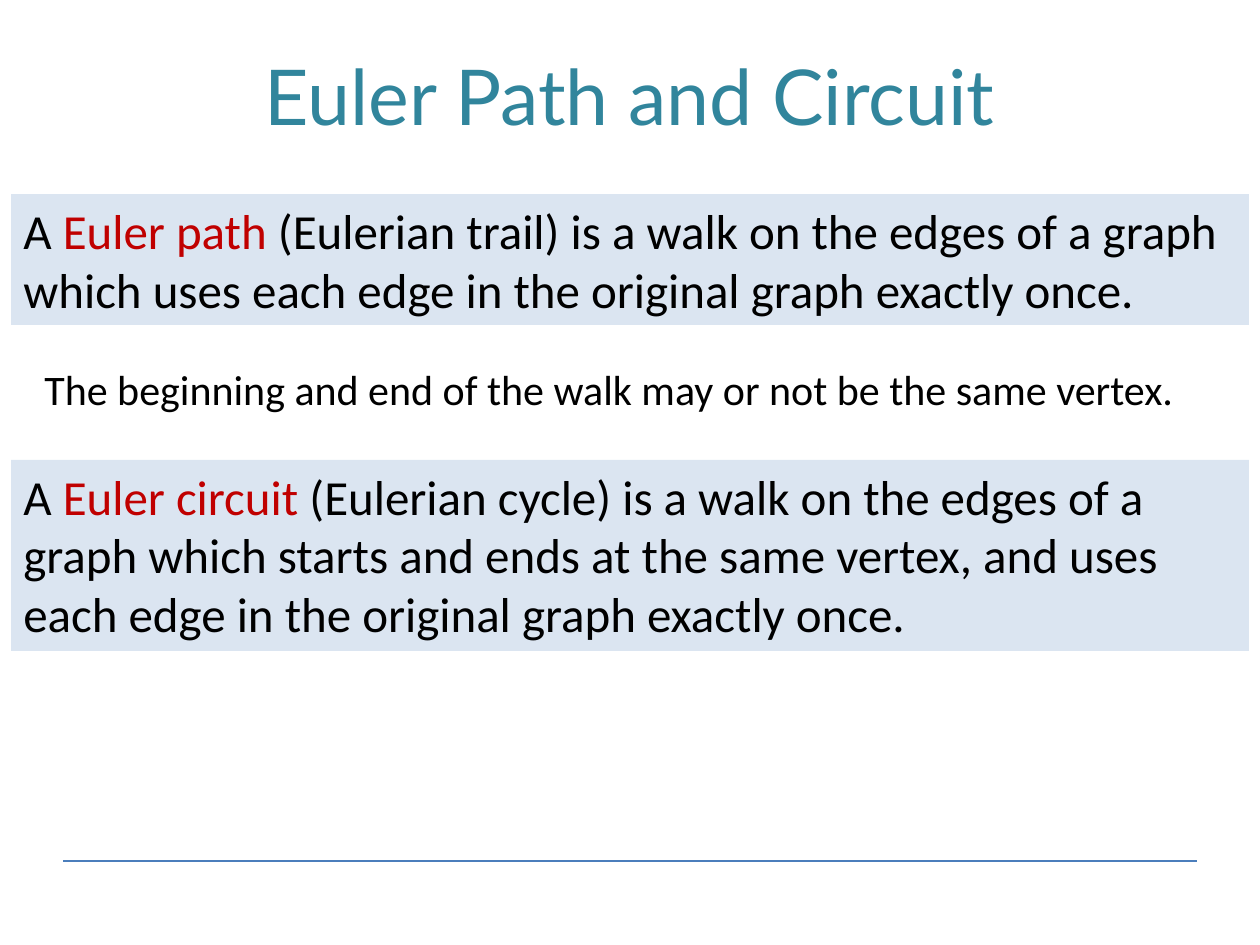
from lxml import etree
from pptx import Presentation
from pptx.dml.color import RGBColor
from pptx.enum.shapes import MSO_CONNECTOR as Connector, MSO_SHAPE as Shape
from pptx.enum.text import MSO_ANCHOR as Anchor, PP_ALIGN as Align
from pptx.oxml.ns import qn
from pptx.util import Emu, Pt

PX = 914400 / 126


def px(*lengths):
    return [Emu(round(length * PX)) for length in lengths]


def color(value):
    return RGBColor.from_string(value)


deck = Presentation()
deck.slide_width, deck.slide_height = px(1260, 945)
page = deck.slides.add_slide(deck.slide_layouts[5])

# Footer rule
rule = page.shapes.add_connector(Connector.STRAIGHT, *px(63, 861, 1197, 861))
rule.line.color.rgb = color("4B7EBC")
rule.line.width = Pt(0.75)
etree.SubElement(rule.line._get_or_add_ln().getparent(), qn("a:effectLst"))

# Text blocks: place, filled or not, and spans of text with colour
title = page.shapes.title
title.left, title.top, title.width, title.height = px(63, 42, 1134, 158)
blocks = [
    (title, {"name": "Lato", "size": Pt(44)}, Align.CENTER,
     [("Euler Path and Circuit", "31859C")]),
]
body = [
    ((11, 194, 1238, 131), True, 28,
     [("A ", "000000"), ("Euler path ", "C00000"),
      ("(Eulerian trail) is a walk on the edges of a graph which uses each "
       "edge in the original graph exactly once.", "000000")]),
    ((32, 357, 1187, 63), False, 24,
     [("The beginning and end of the walk may or not be the same vertex.",
       "000000")]),
    ((11, 460, 1238, 191), True, 28,
     [("A ", "000000"), ("Euler circuit ", "C00000"),
      ("(Eulerian cycle) is a walk on the edges of a graph which starts and "
       "ends at the same vertex, and uses each edge in the original graph "
       "exactly once.", "000000")]),
]
for place, filled, size, spans in body:
    if filled:
        box = page.shapes.add_shape(Shape.RECTANGLE, *px(*place))
        box.shadow.inherit = False
        box.line.fill.background()
        box.fill.solid()
        box.fill.fore_color.rgb = color("4F81BD")
        # Let the fill show at 20 % opacity
        tint = box.fill._xPr.find(qn("a:solidFill"))[0]
        etree.SubElement(tint, qn("a:alpha"), val="20000")
    else:
        box = page.shapes.add_textbox(*px(*place))
    blocks.append((box, {"name": "Calibri", "size": Pt(size)}, Align.LEFT, spans))

# Wording and text format
for box, font, align, spans in blocks:
    frame = box.text_frame
    frame.word_wrap = True
    frame.vertical_anchor = Anchor.TOP
    para = frame.paragraphs[0]
    para.alignment = align
    for text, ink in spans:
        span = para.add_run()
        span.text = text
        span.font.color.rgb = color(ink)
        for attribute, value in font.items():
            setattr(span.font, attribute, value)

deck.save("out.pptx")
